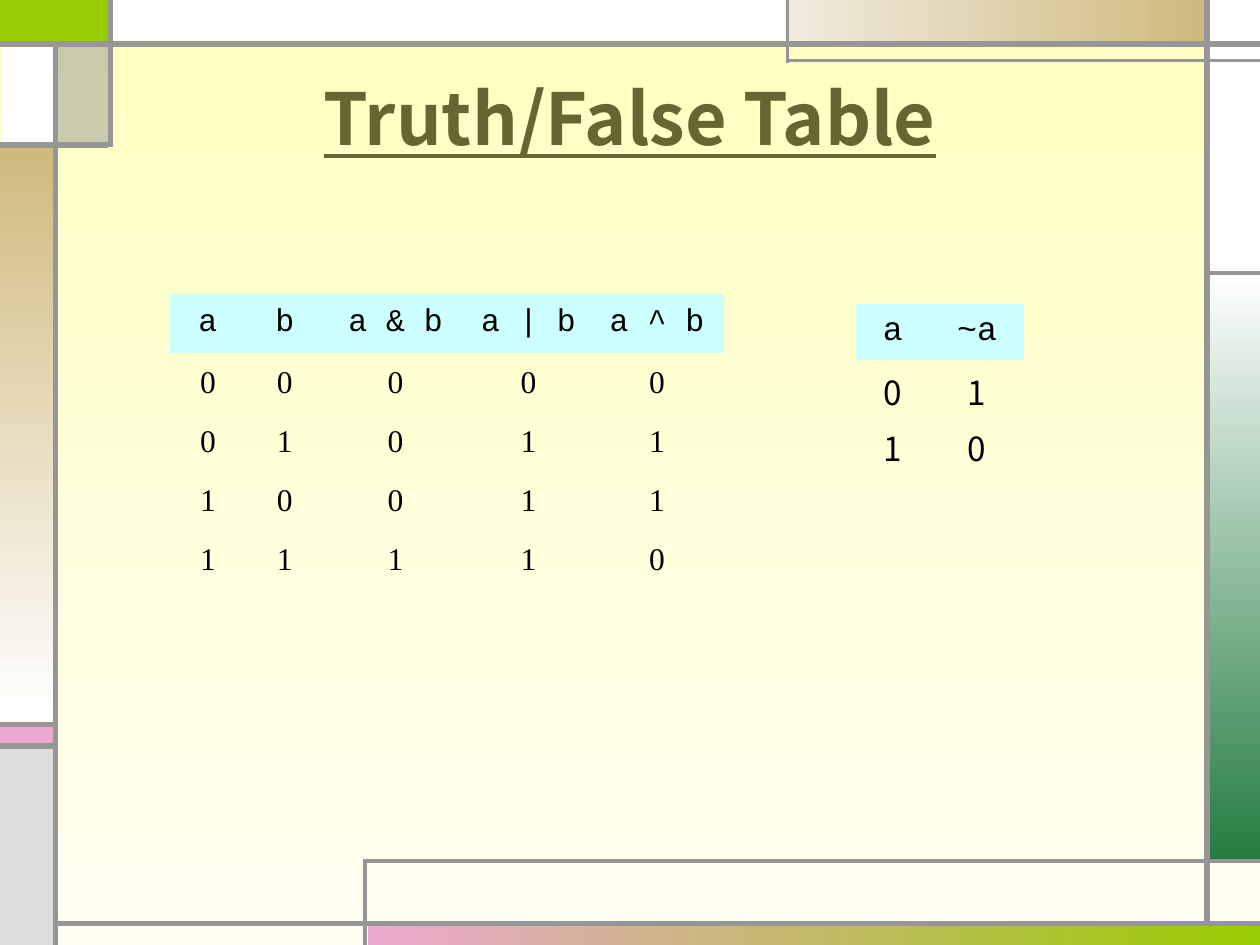
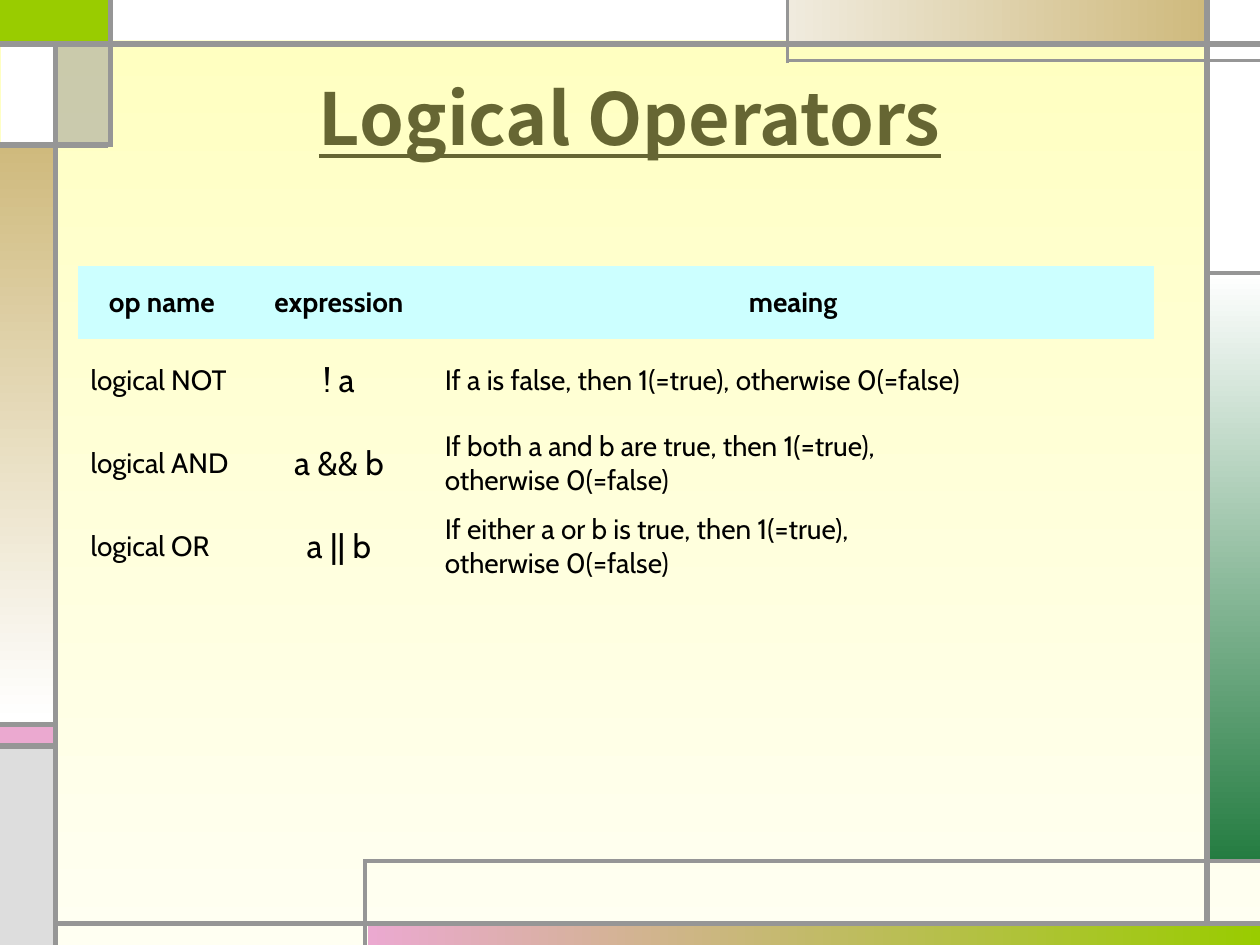
from dataclasses import dataclass
from lxml.etree import SubElement
from pptx import Presentation
from pptx.dml.color import RGBColor
from pptx.enum.shapes import MSO_CONNECTOR, MSO_SHAPE
from pptx.enum.text import MSO_ANCHOR, PP_ALIGN
from pptx.oxml.ns import qn
from pptx.util import Inches, Pt


@dataclass(frozen=True)
class Theme:
    """Colours, fonts and type sizes of the deck."""
    ink: str = "000000"
    olive: str = "666633"
    gray: str = "969696"
    silver: str = "DDDDDD"
    white: str = "FFFFFF"
    lime: str = "99CC00"
    pink: str = "EBA9D0"
    green: str = "247C41"
    sand: str = "CFBA7D"
    linen: str = "F0EBDE"
    aqua: str = "CCFFFF"
    cream: str = "FFFFBF"
    pale: str = "FFFFF2"
    sans: str = "Noto Sans CJK KR"
    code: str = "Courier New"
    serif: str = "Times New Roman"
    body: str = "Cabin"
    title: int = 41
    large: int = 19
    mid: int = 18
    small: int = 16
    thick: float = 3
    thin: float = 2.25
    plain: str = "{2D5ABB26-0587-4C30-8999-92F81FD0307C}"


THEME = Theme()
DOWN, ACROSS = 270, 0


def write(frame, text, font=THEME.body, size=THEME.small, color=THEME.ink,
          bold=False, under=False, align=PP_ALIGN.CENTER):
    """Fill a text frame, one paragraph for each line of text."""
    frame.word_wrap = True
    for count, line in enumerate(text.split("\n")):
        para = frame.add_paragraph() if count else frame.paragraphs[0]
        para.alignment = align
        run = para.add_run()
        run.text = line
        run.font.name, run.font.size = font, Pt(size)
        run.font.bold, run.font.underline = bold, under
        run.font.color.rgb = RGBColor.from_string(color)


def blend(fill, start, end, angle):
    """Give a fill a gradient of two colours."""
    fill.gradient()
    fill.gradient_angle = angle
    for stop, color in zip(fill.gradient_stops, (start, end)):
        stop.color.rgb = RGBColor.from_string(color)


class Deck:
    """Holds the style and the current slide."""

    def __init__(self, theme):
        """Start an empty deck."""
        self.theme = theme
        self.show = Presentation()
        self.show.slide_width, self.show.slide_height = Inches(10), Inches(7.5)
        self.slide = None

    def page(self, title):
        """Add a slide with its frame and title."""
        look = self.theme
        self.slide = self.show.slides.add_slide(self.show.slide_layouts[6])
        blend(self.slide.background.fill, look.cream, look.pale, DOWN)
        self.frame()
        box = self.slide.shapes.add_textbox(*map(Inches, (0.5, 0.3, 9, 1.25)))
        box.text_frame.vertical_anchor = MSO_ANCHOR.MIDDLE
        write(box.text_frame, title, font=look.sans, size=look.title,
              color=look.olive, bold=True, under=True)

    def block(self, place, *paint, alpha=None):
        """Add a rectangle with a plain or blended fill."""
        shape = self.slide.shapes.add_shape(MSO_SHAPE.RECTANGLE, *map(Inches, place))
        shape.shadow.inherit = False
        shape.line.fill.background()
        if len(paint) > 1:
            blend(shape.fill, *paint)
        else:
            shape.fill.solid()
            shape.fill.fore_color.rgb = RGBColor.from_string(paint[0])
        if alpha:
            color = shape.element.spPr.find(".//" + qn("a:srgbClr"))
            SubElement(color, qn("a:alpha"), val=str(alpha * 1000))

    def rule(self, ends, width):
        """Add a straight gray line."""
        line = self.slide.shapes.add_connector(MSO_CONNECTOR.STRAIGHT, *map(Inches, ends))
        line.line.width = Pt(width)
        line.line.color.rgb = RGBColor.from_string(self.theme.gray)
        SubElement(line.element.spPr, qn("a:effectLst"))

    def frame(self):
        """Draw the blocks and lines around the page."""
        look = self.theme
        self.block((0, 0, 0.87, 0.34), look.lime)
        self.block((2.92, 7.33, 7.08, 0.17), look.pink, look.lime, ACROSS)
        self.block((9.58, 2.17, 0.42, 4.67), look.white, look.green, DOWN)
        self.block((0, 5.75, 0.42, 0.17), look.pink)
        self.block((0, 5.93, 0.42, 1.57), look.silver)
        self.block((9.58, 0, 0.42, 2.17), look.white)
        self.block((6.25, 0, 3.33, 0.33), look.linen, look.sand, ACROSS)
        self.block((0.46, 0.33, 0.42, 0.82), look.gray, alpha=50)
        self.block((0, 1.15, 0.42, 4.58), look.sand, look.white, DOWN)
        self.block((0.01, 0.33, 0.42, 0.82), look.white)
        self.block((0.86, 0, 5.39, 0.32), look.white)
        for ends in ((0.44, 7.5, 0.44, 0.33), (0.44, 7.33, 10, 7.33),
                     (9.58, 7.33, 9.58, 0), (0, 0.35, 10, 0.35),
                     (0.88, 0, 0.88, 1.17), (0.86, 1.15, 0, 1.15),
                     (0.46, 5.75, 0, 5.75), (0.46, 5.92, 0, 5.92)):
            self.rule(ends, look.thick)
        for ends in ((10, 0.48, 6.25, 0.48), (6.25, 0.5, 6.25, 0),
                     (9.58, 2.17, 10, 2.17), (2.9, 7.5, 2.9, 6.82),
                     (2.89, 6.83, 10, 6.83)):
            self.rule(ends, look.thin)

    def grid(self, left, top, widths, heights, rows, head, forms):
        """Add a table with a tinted head and one format per column."""
        place = map(Inches, (left, top, sum(widths), sum(heights)))
        part = self.slide.shapes.add_table(len(rows), len(widths), *place)
        table = part.table
        table.first_row = table.horz_banding = False
        part.element.find(".//" + qn("a:tableStyleId")).text = self.theme.plain
        for column, width in zip(table.columns, widths):
            column.width = Inches(width)
        for row, height in zip(table.rows, heights):
            row.height = Inches(height)
        for y, row in enumerate(rows):
            for x, text in enumerate(row):
                cell = table.cell(y, x)
                cell.vertical_anchor = MSO_ANCHOR.MIDDLE
                if y:
                    cell.fill.background()
                else:
                    cell.fill.solid()
                    cell.fill.fore_color.rgb = RGBColor.from_string(self.theme.aqua)
                write(cell.text_frame, text, **(forms[x] if y else head))


def main():
    """Build both slides and save them."""
    look = THEME
    deck = Deck(look)

    deck.page("Truth/False Table")
    pairs = [(a, b) for a in (0, 1) for b in (0, 1)]
    truth = [map(str, (a, b, a & b, a | b, a ^ b)) for a, b in pairs]
    deck.grid(1.35, 2.33, (0.6, 0.62, 1.14, 0.97, 1.07), [0.47] * 5,
              [("a", "b", "a & b", "a | b", "a ^ b"), *truth],
              dict(font=look.code, size=look.mid),
              [dict(font=look.serif, size=look.mid)] * 5)
    deck.grid(6.79, 2.41, (0.59, 0.75), [0.45] * 3,
              [("a", "~a"), ("0", "1"), ("1", "0")],
              dict(font=look.code, size=look.large),
              [dict(font=look.sans, size=look.large)] * 2)

    deck.page("Logical Operators")
    prose = dict(align=PP_ALIGN.JUSTIFY)
    deck.grid(0.62, 2.11, (1.33, 1.48, 5.73), [0.58] + [0.66] * 3,
              [("op name", "expression", "meaing"),
               ("logical NOT", "! a", "If a is false, then 1(=true), otherwise 0(=false)"),
               ("logical AND", "a && b",
                "If both a and b are true, then 1(=true),\notherwise 0(=false)"),
               ("logical OR", "a || b",
                "If either a or b is true, then 1(=true),\notherwise 0(=false)")],
              dict(bold=True), [prose, dict(size=look.large), prose])

    deck.show.save("out.pptx")


if __name__ == "__main__":
    main()
